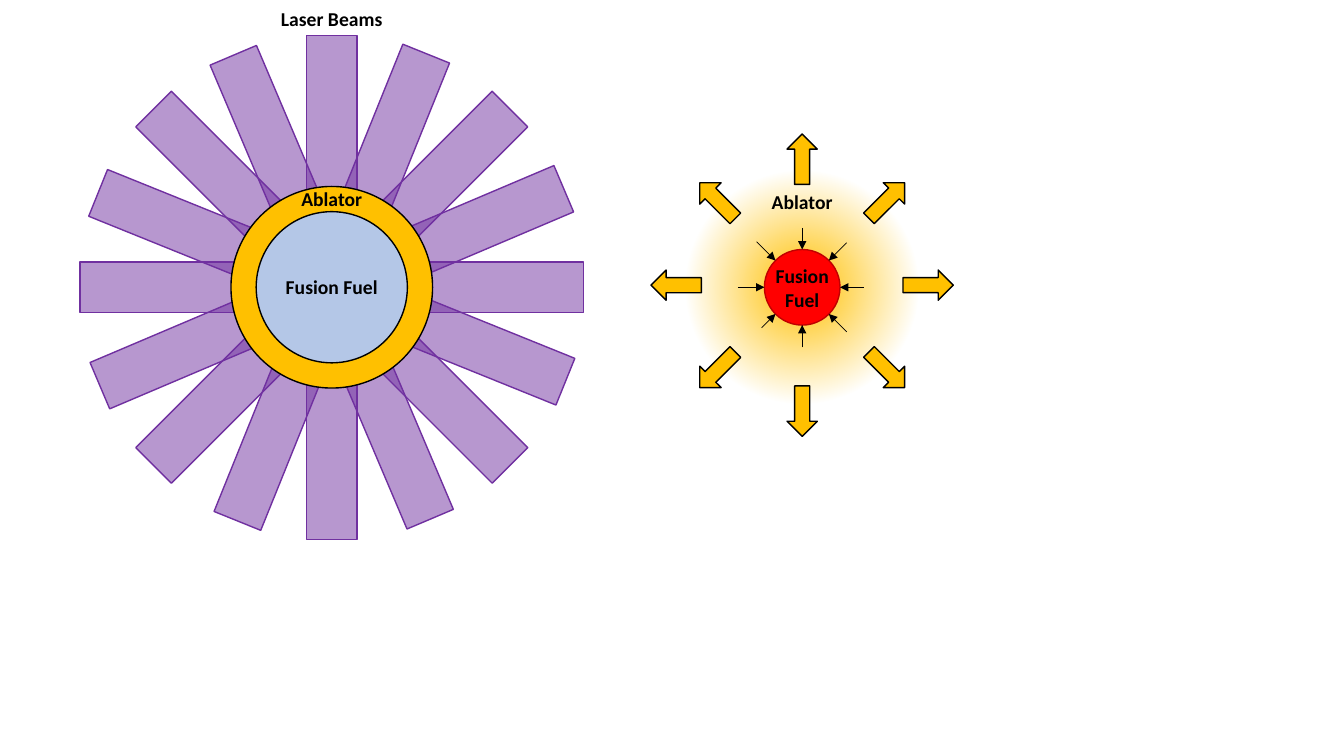
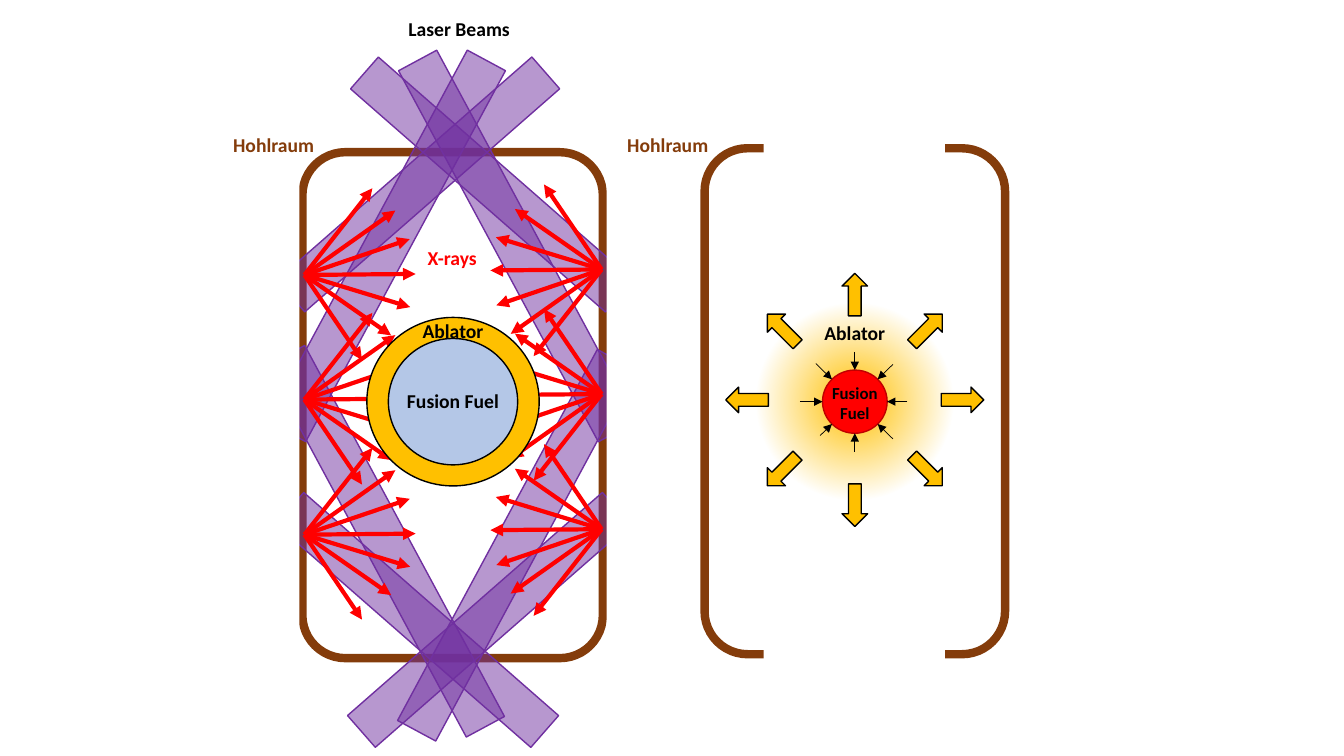
"""Build two slides on direct-drive and indirect-drive laser fusion."""
from itertools import product
from math import cos, radians, sin

from lxml.etree import SubElement
from pptx import Presentation
from pptx.dml.color import RGBColor as RGB
from pptx.enum.shapes import MSO_CONNECTOR as CONN, MSO_SHAPE as SHAPE
from pptx.enum.text import PP_ALIGN as ALIGN
from pptx.oxml.ns import qn
from pptx.util import Pt

COLORS = {
    "black": "000000", "white": "FFFFFF", "beam": "7030A0",
    "ablator": "FFC000", "fuel": "B4C7E7", "hot": "FF0000",
    "hot_edge": "C00000", "xray": "FF0000", "hohlraum": "843C0B",
}
FONT = "Calibri"
FULL = (1, 1)
SMALL = (0.855, 0.836)
INWARD = {0: 44, 45: 45, 90: 43, 135: 41, 180: 46, 225: 46, 270: 42.5, 315: 45}
RAYS = [(79.5, -0.7), (75.6, 23), (62, 43.2), (75.3, -25.6),
        (65, -46), (41.2, 60.7), (48.6, -61.9)]


def rgb(name):
    """Return the named colour."""
    return RGB.from_string(COLORS[name])


def add_shape(s, kind, center, size, fill=None, line=None, width=1, rot=0):
    """Add a preset shape around its centre."""
    (cx, cy), (w, h) = center, size
    sp = s.shapes.add_shape(kind, Pt(cx - w / 2), Pt(cy - h / 2), Pt(w), Pt(h))
    sp.shadow.inherit = False
    sp.rotation = rot
    if fill:
        sp.fill.solid()
        sp.fill.fore_color.rgb = rgb(fill)
    else:
        sp.fill.background()
    if line:
        sp.line.color.rgb = rgb(line)
        sp.line.width = Pt(width)
    else:
        sp.line.fill.background()
    return sp


def add_beam(s, center, size, rot):
    """Add a half-transparent laser beam."""
    sp = add_shape(s, SHAPE.RECTANGLE, center, size, "beam", "beam", rot=rot)
    color = sp.fill._xPr.find(qn("a:solidFill")).find(qn("a:srgbClr"))
    SubElement(color, qn("a:alpha"), val="50000")


def add_glow(s, center, size):
    """Add an ellipse that fades from its middle to white."""
    sp = add_shape(s, SHAPE.OVAL, center, size)
    sp.fill.gradient()
    grad = sp.fill._xPr.find(qn("a:gradFill"))
    for child in list(grad):
        grad.remove(child)
    stops = SubElement(grad, qn("a:gsLst"))
    for pos, name in ((0, "ablator"), (55, "white"), (100, "white")):
        stop = SubElement(stops, qn("a:gs"), pos=str(pos * 1000))
        SubElement(stop, qn("a:srgbClr"), val=COLORS[name])
    way = SubElement(grad, qn("a:path"), {"path": "circle"})
    SubElement(way, qn("a:fillToRect"), {k: "50000" for k in "ltrb"})


def add_arrow(s, start, end, color, width):
    """Add a straight line with an arrowhead at its end."""
    c = s.shapes.add_connector(CONN.STRAIGHT, *map(Pt, (*start, *end)))
    c.line.color.rgb = rgb(color)
    c.line.width = Pt(width)
    SubElement(c.line._get_or_add_ln(), qn("a:tailEnd"), type="triangle")
    SubElement(c._element.spPr, qn("a:effectLst"))


def add_label(s, lines, cx, top, color="black", size=14, width=84):
    """Add bold centred text, one paragraph a line."""
    height = len(lines) * size * 1.22 + 7.2
    box = s.shapes.add_textbox(Pt(cx - width / 2), Pt(top), Pt(width), Pt(height))
    tf = box.text_frame
    tf.word_wrap = True
    for i, text in enumerate(lines):
        p = tf.add_paragraph() if i else tf.paragraphs[0]
        p.alignment = ALIGN.CENTER
        r = p.add_run()
        r.text = text
        r.font.name = FONT
        r.font.size = Pt(size)
        r.font.bold = True
        r.font.color.rgb = rgb(color)


def polar(center, radius, angle, scale):
    """Return the point at a radius and a clockwise angle."""
    (cx, cy), (sx, sy), a = center, scale, radians(angle)
    return cx + radius * sx * cos(a), cy + radius * sy * sin(a)


def add_target(s, center, scale):
    """Add the fuel capsule inside its ablator shell."""
    cx, cy = center
    sx, sy = scale
    for size, fill in ((144, "ablator"), (108, "fuel")):
        add_shape(s, SHAPE.OVAL, center, (size * sx, size * sy), fill, "black")
    add_label(s, ["Fusion Fuel"], cx, cy - 12.3)
    add_label(s, ["Ablator"], cx, cy - 75 * sy)


def add_implosion(s, center, scale, size):
    """Add hot fuel pressed inwards while the ablator flies outwards."""
    cx, cy = center
    sx, sy = scale
    mean = (sx + sy) / 2
    add_glow(s, center, (216 * sx, 216 * sy))
    add_shape(s, SHAPE.OVAL, center, (54 * sx, 54 * sy), "hot", "hot_edge")
    add_label(s, ["Ablator"], cx, cy - 73.4 * sy)
    for angle, radius in INWARD.items():
        out = polar((cx, cy - 1.5 * sy), 85.5 if angle % 90 else 90, angle, scale)
        add_shape(s, SHAPE.RIGHT_ARROW, out, (36 * mean, 21.6 * mean),
                  "ablator", "black", rot=angle)
        add_arrow(s, polar(center, radius, angle, scale),
                  polar(center, 27, angle, scale), "black", 0.5)
    add_label(s, ["Fusion", "Fuel"], cx, cy - 20.2 * sy, size=size, width=60)


def add_fan(s, source, side):
    """Add the X-rays from one wall spot; side is 1 for left, -1 for right."""
    x, y = source
    for dx, dy in RAYS:
        add_arrow(s, source, (x + side * dx, y + side * dy), "xray", 3)


def add_hohlraum(s, center):
    """Add the rounded outline of the hohlraum."""
    sp = add_shape(s, SHAPE.ROUNDED_RECTANGLE, center, (214.6, 361.4),
                   line="hohlraum", width=6)
    sp.adjustments[0] = 0.143


def direct_drive(s):
    """Draw beams that strike the capsule directly."""
    target = (237, 205.2)
    for angle in (292, 337, 67, 22, 135, 45, 90, 0):
        add_beam(s, target, (36, 360), angle)
    add_target(s, target, FULL)
    add_label(s, ["Laser Beams"], 237, 1.4, width=90)
    add_implosion(s, (573, 205.2), FULL, 14)


def indirect_drive(s):
    """Draw beams that heat a hohlraum, whose X-rays reach the capsule."""
    add_label(s, ["Laser Beams"], 328, 8.6, width=90)
    add_hohlraum(s, (323.3, 289.4))
    add_hohlraum(s, (610.6, 286.6))
    for y in (104.4, 469.8):
        add_shape(s, SHAPE.RECTANGLE, (610.2, y), (129.6, 20.5), "white")
    add_implosion(s, (610.6, 286.9), SMALL, 12)

    steep, flat = (31, 301), (30.2, 242)
    for x, y, size, angle in (
            (276.1, 175.7, steep, 28.3), (369.7, 175.7, steep, -28.3),
            (275.4, 386.6, steep, -28.3), (369, 389.5, steep, 28.3),
            (298.8, 131.8, flat, 48.8), (351.4, 131.8, flat, -48.8),
            (298.1, 442.8, flat, -48.8), (349.2, 442.8, flat, 48.8)):
        add_beam(s, (x, y), size, angle)
    add_shape(s, SHAPE.RECTANGLE, (194.4, 270), (38.9, 368.6), "white")
    add_shape(s, SHAPE.RECTANGLE, (453.2, 280.8), (39.6, 390.2), "white")

    walls = ((217.4, 196.4, 1), (429.8, 192.5, -1))
    for (x, y, side), drop in product(walls, (0, 89, 185.5)):
        add_fan(s, (x, y + drop), side)
    add_target(s, (323.6, 286.9), SMALL)
    add_label(s, ["X-rays"], 323, 172, "xray")
    for x in (195.5, 477):
        add_label(s, ["Hohlraum"], x, 91.4, "hohlraum")


def main():
    """Build and save the presentation."""
    prs = Presentation()
    prs.slide_width, prs.slide_height = Pt(960), Pt(540)
    for draw in (direct_drive, indirect_drive):
        draw(prs.slides.add_slide(prs.slide_layouts[6]))
    prs.save("out.pptx")


main()
